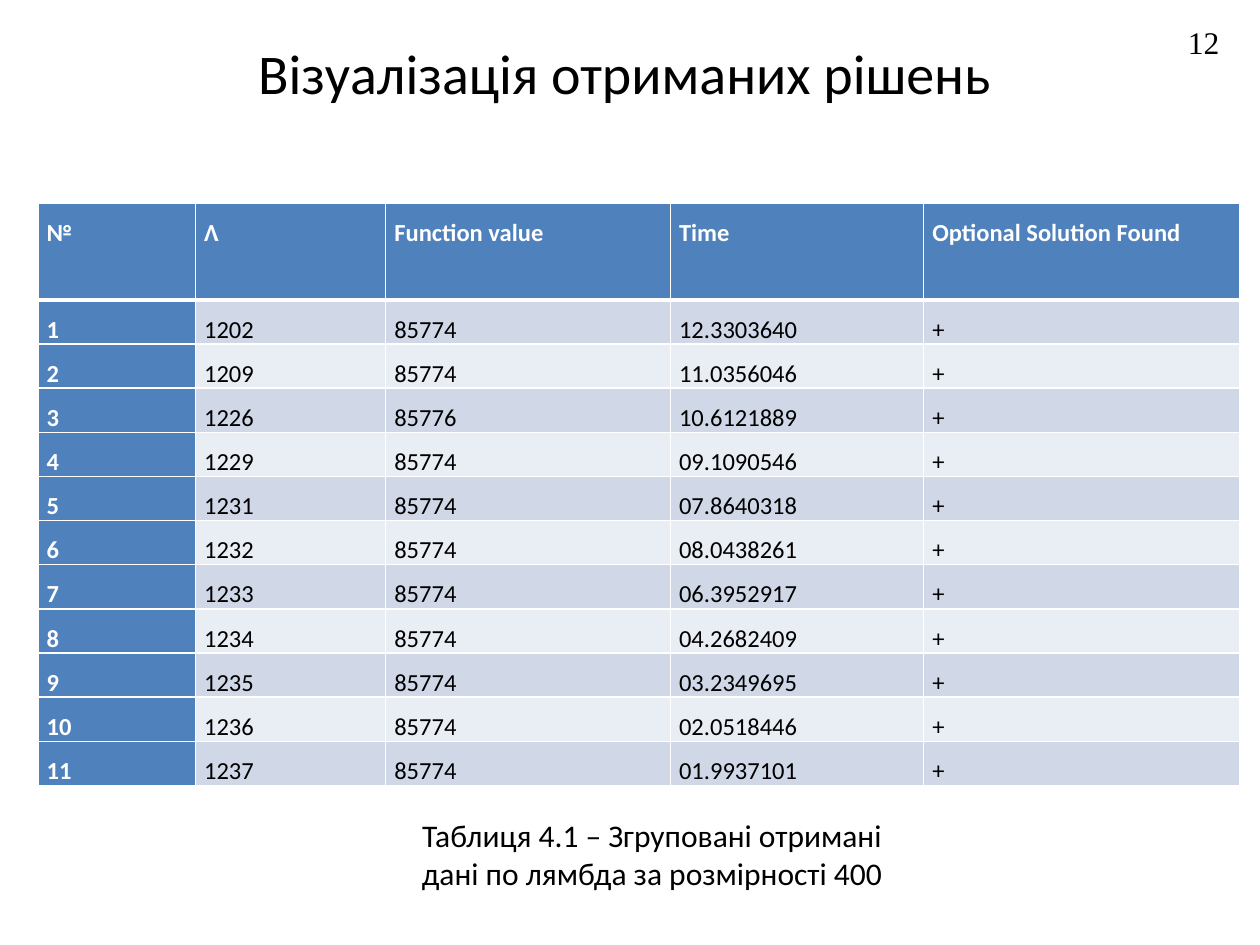
import pptx
import pptx.util
import pptx.dml.color
import pptx.enum.text
import pptx.oxml.ns
import lxml.etree

Inches = pptx.util.Inches
Pt = pptx.util.Pt
RGBColor = pptx.dml.color.RGBColor
ALIGN = pptx.enum.text.PP_ALIGN
ANCHOR = pptx.enum.text.MSO_ANCHOR
qn = pptx.oxml.ns.qn

BLACK = RGBColor(0x00, 0x00, 0x00)
WHITE = RGBColor(0xFF, 0xFF, 0xFF)
BLUE = RGBColor(0x4F, 0x81, 0xBD)
BANDS = RGBColor(0xD0, 0xD8, 0xE8), RGBColor(0xE9, 0xED, 0xF4)

HEAD = ["№", "Λ", "Function value", "Time", "Optional Solution Found"]
RUNS = [
    ("1202", "85774", "12.3303640"),
    ("1209", "85774", "11.0356046"),
    ("1226", "85776", "10.6121889"),
    ("1229", "85774", "09.1090546"),
    ("1231", "85774", "07.8640318"),
    ("1232", "85774", "08.0438261"),
    ("1233", "85774", "06.3952917"),
    ("1234", "85774", "04.2682409"),
    ("1235", "85774", "03.2349695"),
    ("1236", "85774", "02.0518446"),
    ("1237", "85774", "01.9937101"),
]
COLS = [1.25, 1.51, 2.26, 2.01, 2.51]
ROWS = [0.77] + [0.32] * len(RUNS)


class Page:
    """Holds the style and the slide being filled."""

    font = "Calibri"

    def __init__(self, slide):
        self.slide = slide

    def run(self, para, text, size, color=BLACK, bold=False, font=None):
        run = para.add_run()
        run.text = text
        run.font.name = font or self.font
        run.font.size = Pt(size)
        run.font.bold = bold
        run.font.color.rgb = color

    def text(self, box, text, size, align=ALIGN.CENTER, anchor=ANCHOR.TOP, font=None):
        frame = self.slide.shapes.add_textbox(*map(Inches, box)).text_frame
        frame.word_wrap = True
        frame.vertical_anchor = anchor
        para = frame.paragraphs[0]
        para.alignment = align
        self.run(para, text, size, font=font)

    def edge(self, cell, side, width):
        props = cell._tc.get_or_add_tcPr()
        line = lxml.etree.SubElement(props, qn("a:ln" + side), w=str(Pt(width)))
        fill = lxml.etree.SubElement(line, qn("a:solidFill"))
        lxml.etree.SubElement(fill, qn("a:srgbClr"), val=str(WHITE))

    def cell(self, cell, text, row, col):
        key = row == 0 or col == 0
        # Borders, with a thick rule under the header
        thick = {(0, "B"), (1, "T")}
        for side in "LRTB":
            self.edge(cell, side, 3 if (row, side) in thick else 1)
        cell.fill.solid()
        cell.fill.fore_color.rgb = BLUE if key else BANDS[(row - 1) % 2]
        # Text
        cell.margin_left = cell.margin_right = Inches(0.07)
        cell.margin_top = cell.margin_bottom = 0
        para = cell.text_frame.paragraphs[0]
        para.alignment = ALIGN.JUSTIFY
        para.line_spacing = 1.5
        self.run(para, text, 14, WHITE if key else BLACK, key)

    def table(self, left, top, cols, rows, data):
        size = map(Inches, (left, top, sum(cols), sum(rows)))
        table = self.slide.shapes.add_table(len(rows), len(cols), *size).table
        for col, width in zip(table.columns, cols):
            col.width = Inches(width)
        for row, height in zip(table.rows, rows):
            row.height = Inches(height)
        for r, line in enumerate(data):
            for c, text in enumerate(line):
                self.cell(table.cell(r, c), text, r, c)


def main():
    deck = pptx.Presentation()
    deck.slide_width = Inches(10)
    deck.slide_height = Inches(7.5)
    page = Page(deck.slides.add_slide(deck.slide_layouts[6]))

    # Title and page number
    page.text((1.85, 0.13, 6.22, 0.89), "Візуалізація отриманих рішень", 32,
              anchor=ANCHOR.MIDDLE)
    page.text((9.33, 0.13, 0.47, 0.4), "12", 18, ALIGN.LEFT, font="Times New Roman")

    # Caption
    page.text((3.05, 6.43, 4.25, 0.71),
              "Таблиця 4.1 – Згруповані отримані дані по лямбда за розмірності 400", 18)

    # Results
    data = [HEAD] + [(str(n), *line, "+") for n, line in enumerate(RUNS, 1)]
    page.table(0.3, 1.61, COLS, ROWS, data)

    deck.save("out.pptx")


if __name__ == "__main__":
    main()
